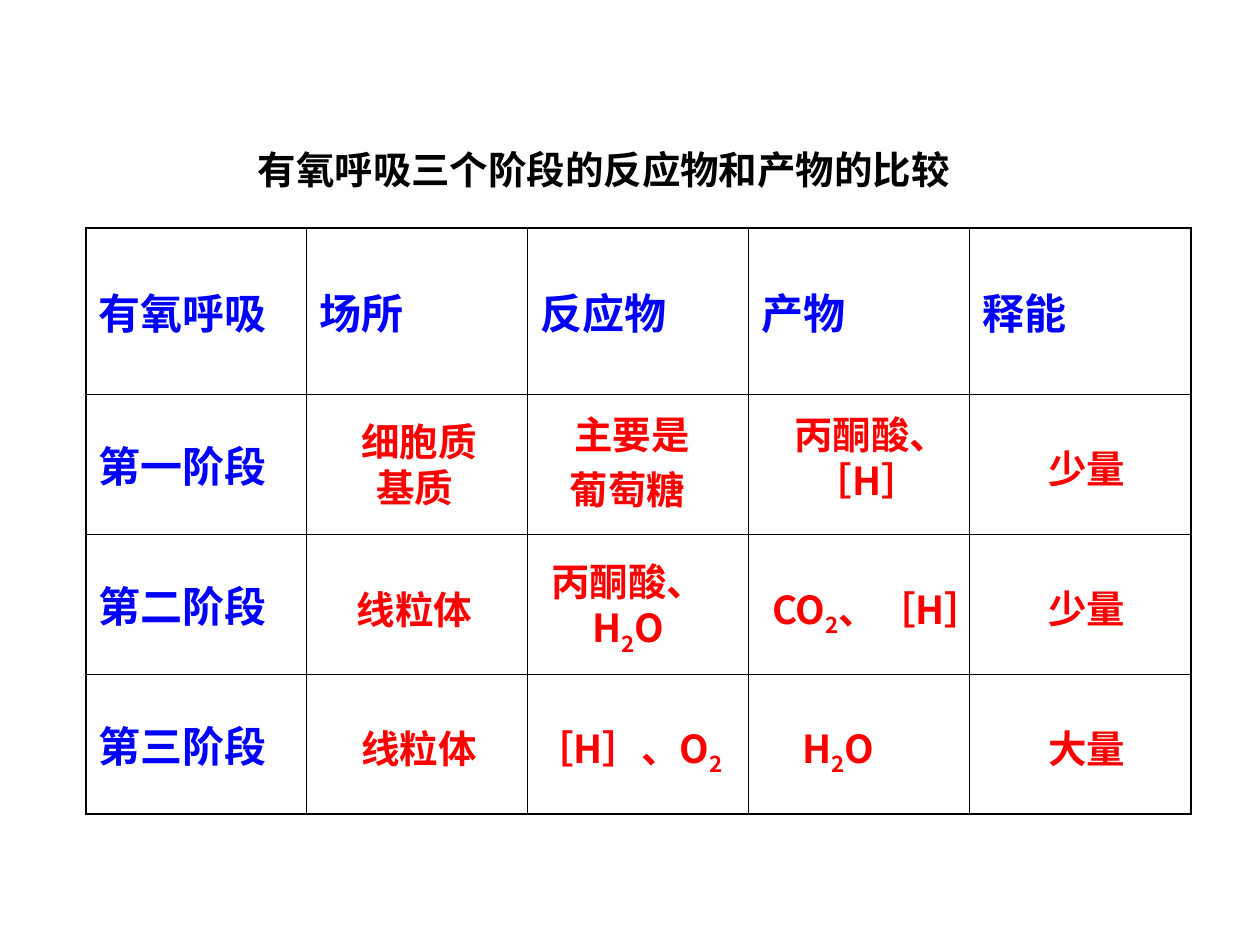
"""Build a slide comparing the three stages of aerobic respiration."""
from lxml import etree
from pptx import Presentation
from pptx.dml.color import RGBColor
from pptx.enum import text
from pptx.oxml import ns
from pptx.util import Pt

THEME = {
    "font": "Noto Sans CJK SC",
    "title": {"size": Pt(22), "color": "000000"},
    "heading": {"size": Pt(24), "color": "0000FF"},
    "answer": {"size": Pt(22), "color": "FF0000"},
    "border": "000000",
    "outer": 1.08,
    "inner": 0.45,
    "subscript": "-25000",
}
TITLE = ("有氧呼吸三个阶段的反应物和产物的比较 ", (112.3, 79.9, 470.2, 33.8))
HEADINGS = ["有氧呼吸", "场所", "反应物", "产物", "释能"]
STAGES = ["第一阶段", "第二阶段", "第三阶段"]
TABLE_LEFT, TABLE_TOP = 49, 130.3
COLUMN, HEADER_ROW, STAGE_ROW = 126.3, 95, 80
ONE_LINE, WITH_SUBSCRIPT, TWO_LINES = 33.8, 37.4, 60.5
ENERGY_LEFT, ENERGY_WIDTH, ENERGY_DROP = 578.9, 84.2, 25.6

# Each answer: lines (subscripts between underscores), left, width, drop below row top, height, line spacing
ANSWERS = [
    [(["细胞质", "基质 "], 141.8, 195.1, 10, TWO_LINES, None),
     (["主要是", "葡萄糖 "], 295.2, 131.8, 0.7, 70.6, 1.2),
     (["丙酮酸、", "［H］ "], 392.4, 211, 5.8, TWO_LINES, None)],
    [(["线粒体 "], 173.5, 131.8, 25.9, ONE_LINE, None),
     (["丙酮酸、H_2_O"], 301, 115.9, 10, 64.1, None),
     (["CO_2_、［H］ "], 409, 190.1, 25.9, WITH_SUBSCRIPT, None)],
    [(["线粒体"], 181.4, 115.9, 25.2, ONE_LINE, None),
     (["［H］、O_2 _"], 273.6, 174.2, 25.2, WITH_SUBSCRIPT, None),
     (["H_2_O "], 442.1, 79.2, 25.2, WITH_SUBSCRIPT, None)],
]
ENERGY = ["少量", "少量", "大量"]


def write(frame, lines, style, align, spacing=None):
    """Fill a text frame with styled lines, lowering the marked subscripts."""
    for index, line in enumerate(lines):
        paragraph = frame.add_paragraph() if index else frame.paragraphs[0]
        paragraph.alignment, paragraph.line_spacing = align, spacing
        for part, words in enumerate(line.split("_")):
            if not words:
                continue
            run = paragraph.add_run()
            run.text = words
            formats = {"name": THEME["font"], "size": style["size"], "bold": True}
            for key, value in formats.items():
                setattr(run.font, key, value)
            run.font.color.rgb = RGBColor.from_string(style["color"])
            properties = run._r.get_or_add_rPr()
            east_asian = etree.SubElement(properties, ns.qn("a:ea"))
            east_asian.set("typeface", THEME["font"])
            if part % 2:
                properties.set("baseline", THEME["subscript"])


def place_answer(slide, lines, left, top, width, height, spacing=None):
    """Add one centred answer over the table."""
    answer = slide.shapes.add_textbox(*map(Pt, (left, top, width, height)))
    answer.text_frame.word_wrap = True
    answer.text_frame.auto_size = text.MSO_AUTO_SIZE.SHAPE_TO_FIT_TEXT
    write(answer.text_frame, lines, THEME["answer"], text.PP_ALIGN.CENTER, spacing)


def draw_borders(cell, outer_sides):
    """Draw heavy outer and light inner borders."""
    properties = cell._tc.get_or_add_tcPr()
    for index, side in enumerate("LRTB"):
        width = THEME["outer" if side in outer_sides else "inner"]
        border = etree.Element(ns.qn(f"a:ln{side}"), w=str(Pt(width)))
        fill = etree.SubElement(border, ns.qn("a:solidFill"))
        etree.SubElement(fill, ns.qn("a:srgbClr"), val=THEME["border"])
        properties.insert(index, border)


def build_table(slide):
    """Add the comparison grid with its headings."""
    rows, columns = len(STAGES) + 1, len(HEADINGS)
    size = (COLUMN * columns, HEADER_ROW + STAGE_ROW * len(STAGES))
    grid = slide.shapes.add_table(rows, columns, *map(Pt, (TABLE_LEFT, TABLE_TOP, *size))).table
    grid.first_row = grid.horz_banding = False
    for column in grid.columns:
        column.width = Pt(COLUMN)
    for r, row in enumerate(grid.rows):
        row.height = Pt(STAGE_ROW if r else HEADER_ROW)
        for c, cell in enumerate(row.cells):
            cell.fill.background()
            cell.vertical_anchor = text.MSO_ANCHOR.MIDDLE
            edges = {"L": c == 0, "R": c == columns - 1, "T": r == 0, "B": r == rows - 1}
            draw_borders(cell, [side for side, outer in edges.items() if outer])
            if r == 0 or c == 0:
                heading = STAGES[r - 1] if r else HEADINGS[c]
                write(cell.text_frame, [heading], THEME["heading"], text.PP_ALIGN.LEFT)


def main():
    """Assemble and save the slide."""
    deck = Presentation()
    deck.slide_width, deck.slide_height = Pt(720), Pt(540)
    slide = deck.slides.add_slide(deck.slide_layouts[5])
    title = slide.shapes.title
    wording, box = TITLE
    for key, value in zip(("left", "top", "width", "height"), box):
        setattr(title, key, Pt(value))
    title.text_frame.vertical_anchor = text.MSO_ANCHOR.TOP
    title.text_frame.auto_size = text.MSO_AUTO_SIZE.NONE
    write(title.text_frame, [wording], THEME["title"], text.PP_ALIGN.CENTER)
    build_table(slide)
    for index, (answers, energy) in enumerate(zip(ANSWERS, ENERGY)):
        row_top = TABLE_TOP + HEADER_ROW + STAGE_ROW * index
        for lines, left, width, drop, height, spacing in answers:
            place_answer(slide, lines, left, row_top + drop, width, height, spacing)
        place_answer(slide, [energy], ENERGY_LEFT, row_top + ENERGY_DROP, ENERGY_WIDTH, ONE_LINE)
    deck.save("out.pptx")


if __name__ == "__main__":
    main()
